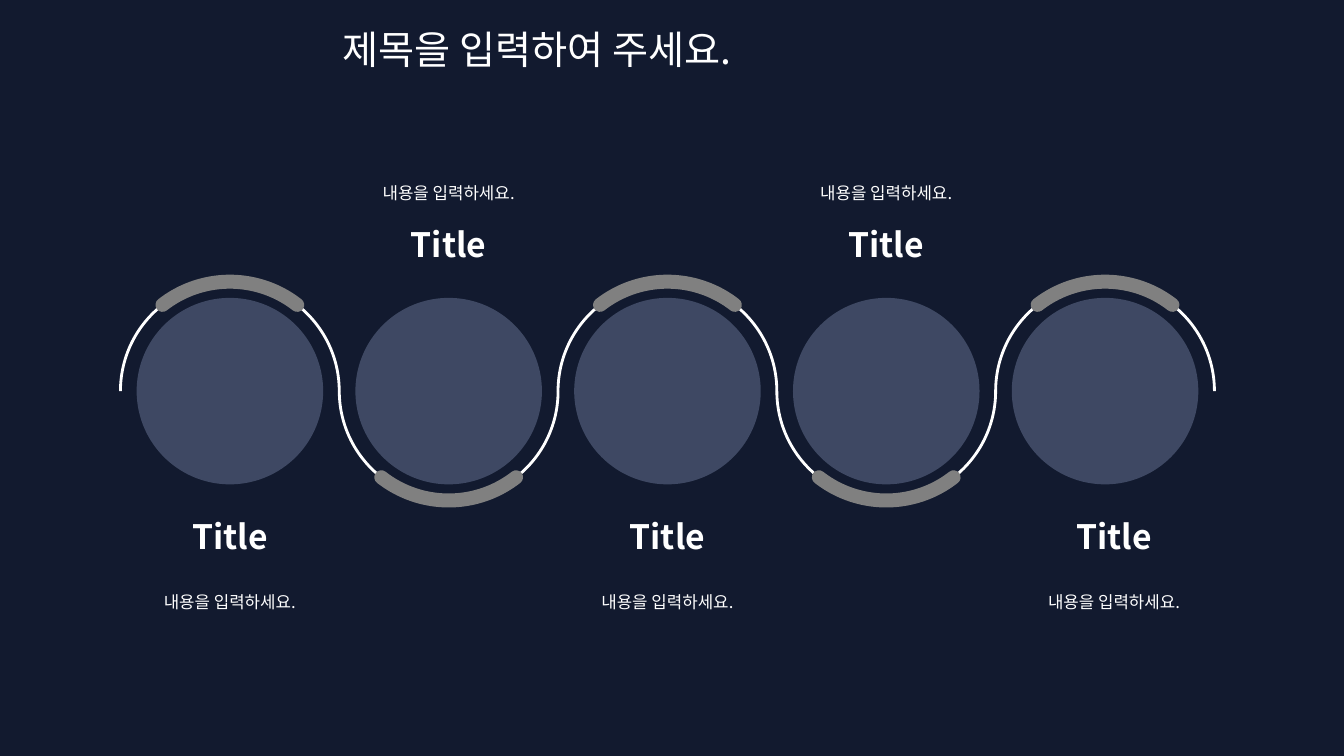
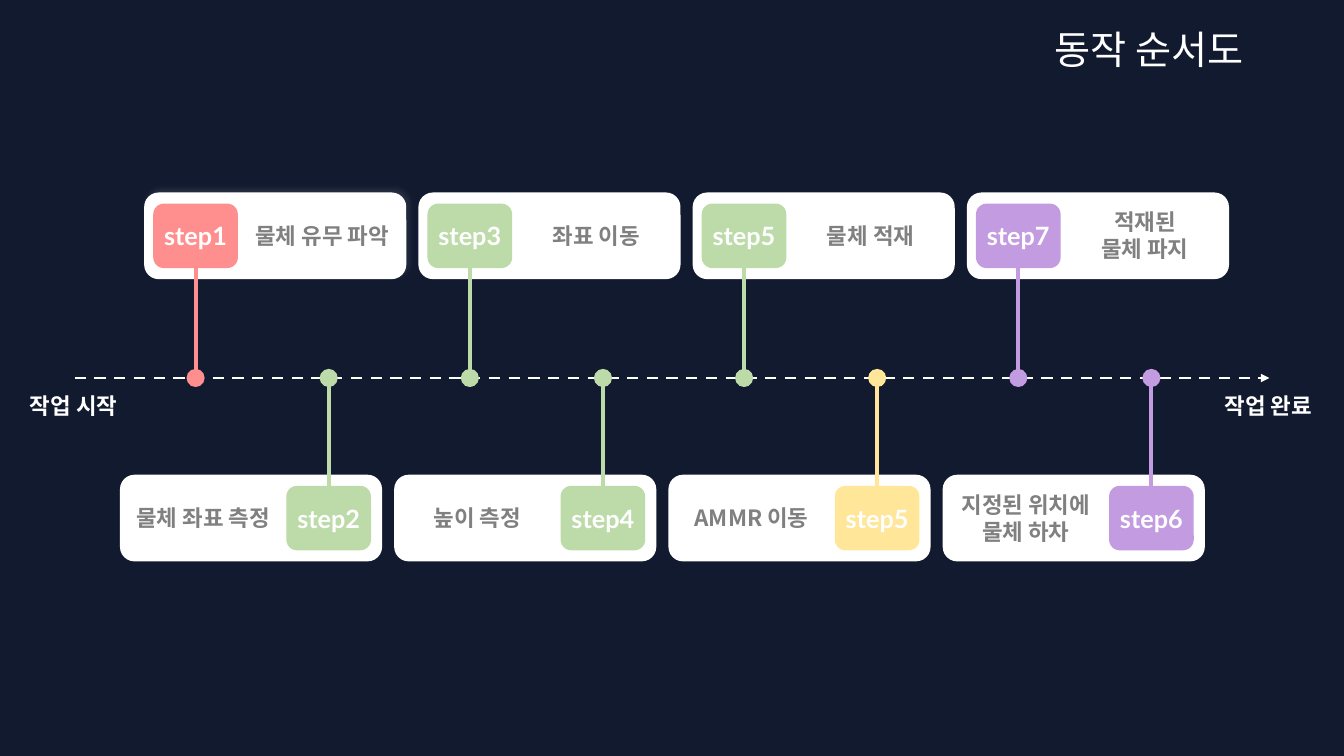
from lxml.etree import SubElement
from pptx import Presentation
from pptx.dml.color import RGBColor
from pptx.enum.dml import MSO_LINE
from pptx.enum.shapes import MSO_CONNECTOR, MSO_SHAPE
from pptx.enum.text import MSO_ANCHOR, MSO_AUTO_SIZE, PP_ALIGN
from pptx.oxml.ns import qn
from pptx.util import Inches, Pt

COLORS = {
    "navy": "121A2F", "white": "FFFFFF", "gray": "808080", "mist": "A4B4DC",
    "red": "FF8F8F", "green": "BCDBA9", "yellow": "FFE699", "purple": "C39BE1",
    "shadow": "E7E6E6",
}
KOREAN, LATIN = "Noto Sans CJK KR", "Lato"
FORMATS = {
    "slide_title": {"size": Pt(28), "name": KOREAN, "color": "white"},
    "circle_title": {"size": Pt(24), "name": KOREAN, "color": "white", "bold": True},
    "circle_body": {"size": Pt(12), "name": KOREAN, "color": "white"},
    "axis_end": {"size": Pt(16), "name": KOREAN, "color": "white", "bold": True},
    "step_label": {"size": Pt(16), "name": KOREAN, "color": "gray", "bold": True},
    "step_badge": {"size": Pt(18), "name": LATIN, "color": "white", "bold": True},
}

CIRCLE_LABELS = [
    {"title": "Title", "body": "내용을 입력하세요.", "shift": shift}
    for shift in (0, 0, 0, 0, 0.09)
]
CIRCLES = {"center_x": 2.28, "center_y": 3.88, "pitch": 2.17, "diameter": 1.85}
LABEL_TOPS = {"below": (5.07, 5.72), "above": (2.17, 1.66)}
ARCS = [(180, 0, "white", 2, "flat"), (232, 308, "gray", 10, "rnd")]

AXIS = {"left": 0.74, "right": 12.59, "y": 3.75}
AXIS_ENDS = [("작업 시작", -0.02), ("작업 완료", 11.83)]
CARD = {"width": 2.6, "height": 0.86, "pitch": 2.72}
BADGE = {"width": 0.84, "height": 0.64}
LABEL_WIDTH = 1.97
DOT = 0.18
STEP_ROWS = [
    {
        "left": 1.43, "top": 1.91, "badge": 0.09, "label": 0.78, "badge_side": 2,
        "steps": [
            ("step1", "물체 유무 파악", "red"),
            ("step3", "좌표 이동", "green"),
            ("step5", "물체 적재", "green"),
            ("step7", "적재된\v물체 파지", "purple"),
        ],
    },
    {
        "left": 1.19, "top": 4.71, "badge": 1.65, "label": -0.16, "badge_side": 0,
        "steps": [
            ("step2", "물체 좌표 측정", "green"),
            ("step4", "높이 측정", "green"),
            ("step5", "AMMR 이동", "yellow"),
            ("step6", "지정된 위치에\v물체 하차", "purple"),
        ],
    },
]


def rgb(color):
    return RGBColor.from_string(COLORS[color])


def write(shape, text, style, align=PP_ALIGN.CENTER, spacing=None):
    paragraph = shape.text_frame.paragraphs[0]
    paragraph.text = text
    paragraph.alignment = align
    if spacing:
        paragraph.line_spacing = spacing
    for run in paragraph.runs:
        for key, value in FORMATS[style].items():
            if key == "color":
                run.font.color.rgb = rgb(value)
            else:
                setattr(run.font, key, value)
        SubElement(run.font._element, qn("a:ea"), typeface=FORMATS[style]["name"])


def add_text(slide, text, left, top, width, height, style, **options):
    box = slide.shapes.add_textbox(Inches(left), Inches(top), Inches(width), Inches(height))
    box.text_frame.word_wrap = True
    box.text_frame.auto_size = MSO_AUTO_SIZE.SHAPE_TO_FIT_TEXT
    write(box, text, style, **options)


def add_shape(slide, kind, left, top, width, height, fill=None):
    shape = slide.shapes.add_shape(kind, Inches(left), Inches(top), Inches(width), Inches(height))
    shape.shadow.inherit = False
    shape.line.fill.background()
    if fill:
        shape.fill.solid()
        shape.fill.fore_color.rgb = rgb(fill)
    else:
        shape.fill.background()
    return shape


def add_line(slide, start, end, color, width):
    line = slide.shapes.add_connector(MSO_CONNECTOR.STRAIGHT, *map(Inches, start + end))
    line.line.color.rgb = rgb(color)
    line.line.width = Pt(width)
    SubElement(line.element.spPr, qn("a:effectLst"))
    return line


def add_slide(presentation, title, left, width):
    slide = presentation.slides.add_slide(presentation.slide_layouts[6])
    slide.background.fill.solid()
    slide.background.fill.fore_color.rgb = rgb("navy")
    add_text(slide, title, left, 0.2, width, 0.57, "slide_title", align=PP_ALIGN.JUSTIFY)
    return slide


def add_arc(slide, center_x, flipped, start, end, color, width, cap):
    size = CIRCLES["pitch"]
    arc = add_shape(slide, MSO_SHAPE.ARC, center_x - size / 2, CIRCLES["center_y"] - size / 2, size, size)
    arc.adjustments[0], arc.adjustments[1] = start * 0.6, end * 0.6
    arc.rotation = 180 if flipped else 0
    arc.line.color.rgb = rgb(color)
    arc.line.width = Pt(width)
    arc.element.spPr.find(qn("a:ln")).set("cap", cap)


def build_circles(presentation):
    slide = add_slide(presentation, "제목을 입력하여 주세요.", 3.3, 6.42)
    size = CIRCLES["diameter"]
    for index, label in enumerate(CIRCLE_LABELS):
        center_x = CIRCLES["center_x"] + index * CIRCLES["pitch"]
        flipped = index % 2 == 1
        circle = add_shape(slide, MSO_SHAPE.OVAL, center_x - size / 2,
                           CIRCLES["center_y"] - size / 2, size, size, "mist")
        fill_color = circle.element.spPr.find(qn("a:solidFill")).find(qn("a:srgbClr"))
        SubElement(fill_color, qn("a:alpha"), val="30000")
        for arc in ARCS:
            add_arc(slide, center_x, flipped, *arc)
        title_top, body_top = LABEL_TOPS["above" if flipped else "below"]
        text_x = center_x + label["shift"]
        add_text(slide, label["title"], text_x - 0.75, title_top, 1.5, 0.5, "circle_title")
        add_text(slide, label["body"], text_x - 1.48, body_top, 2.96, 0.36, "circle_body", spacing=1.5)


def add_card_shadow(card):
    effects = card.element.spPr.find(qn("a:effectLst"))
    shadow = SubElement(effects, qn("a:outerShdw"), blurRad=str(int(Pt(4))), dist=str(int(Pt(3))),
                        dir=str(315 * 60000), algn="bl", rotWithShape="0")
    color = SubElement(shadow, qn("a:srgbClr"), val=COLORS["shadow"])
    SubElement(color, qn("a:alpha"), val="10000")


def add_step(slide, row, index, name, label, color):
    left = row["left"] + index * CARD["pitch"]
    middle = row["top"] + CARD["height"] / 2
    card = add_shape(slide, MSO_SHAPE.ROUNDED_RECTANGLE, left, row["top"],
                     CARD["width"], CARD["height"], "white")
    if name == "step1":
        add_card_shadow(card)
    badge_left = left + row["badge"]
    badge = add_shape(slide, MSO_SHAPE.ROUNDED_RECTANGLE, badge_left, middle - BADGE["height"] / 2,
                      BADGE["width"], BADGE["height"], color)
    frame = badge.text_frame
    frame.margin_left = frame.margin_right = 0
    frame.vertical_anchor = MSO_ANCHOR.MIDDLE
    write(badge, name, "step_badge")
    label_height = 0.64 if "\v" in label else 0.37
    add_text(slide, label, left + row["label"], middle - label_height / 2,
             LABEL_WIDTH, label_height, "step_label")
    center_x = badge_left + BADGE["width"] / 2
    add_shape(slide, MSO_SHAPE.OVAL, center_x - DOT / 2, AXIS["y"] - DOT / 2, DOT, DOT, color)
    stem = add_line(slide, (center_x, middle), (center_x, AXIS["y"]), color, 2.75)
    stem.begin_connect(badge, row["badge_side"])


def build_steps(presentation):
    slide = add_slide(presentation, "동작 순서도", 10.36, 2.66)
    axis = add_line(slide, (AXIS["left"], AXIS["y"]), (AXIS["right"], AXIS["y"]), "white", 2)
    axis.line.dash_style = MSO_LINE.DASH
    SubElement(axis.element.spPr.find(qn("a:ln")), qn("a:tailEnd"), type="triangle")
    for text, left in AXIS_ENDS:
        add_text(slide, text, left, 3.84, 1.5, 0.37, "axis_end")
    for row in STEP_ROWS:
        for index, step in enumerate(row["steps"]):
            add_step(slide, row, index, *step)


def main():
    presentation = Presentation()
    presentation.slide_width = Inches(13.33)
    presentation.slide_height = Inches(7.5)
    build_circles(presentation)
    build_steps(presentation)
    presentation.save("out.pptx")


if __name__ == "__main__":
    main()
